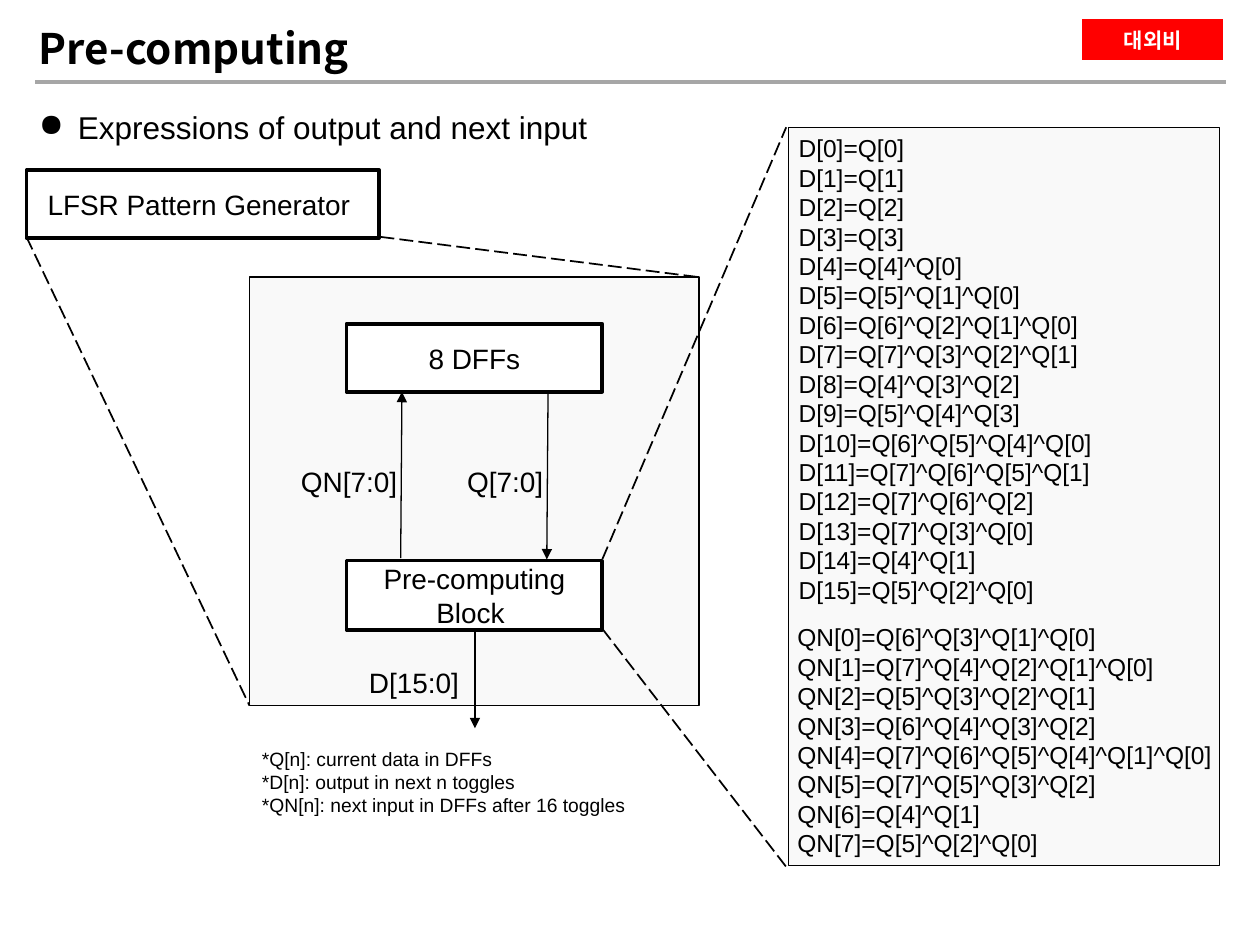
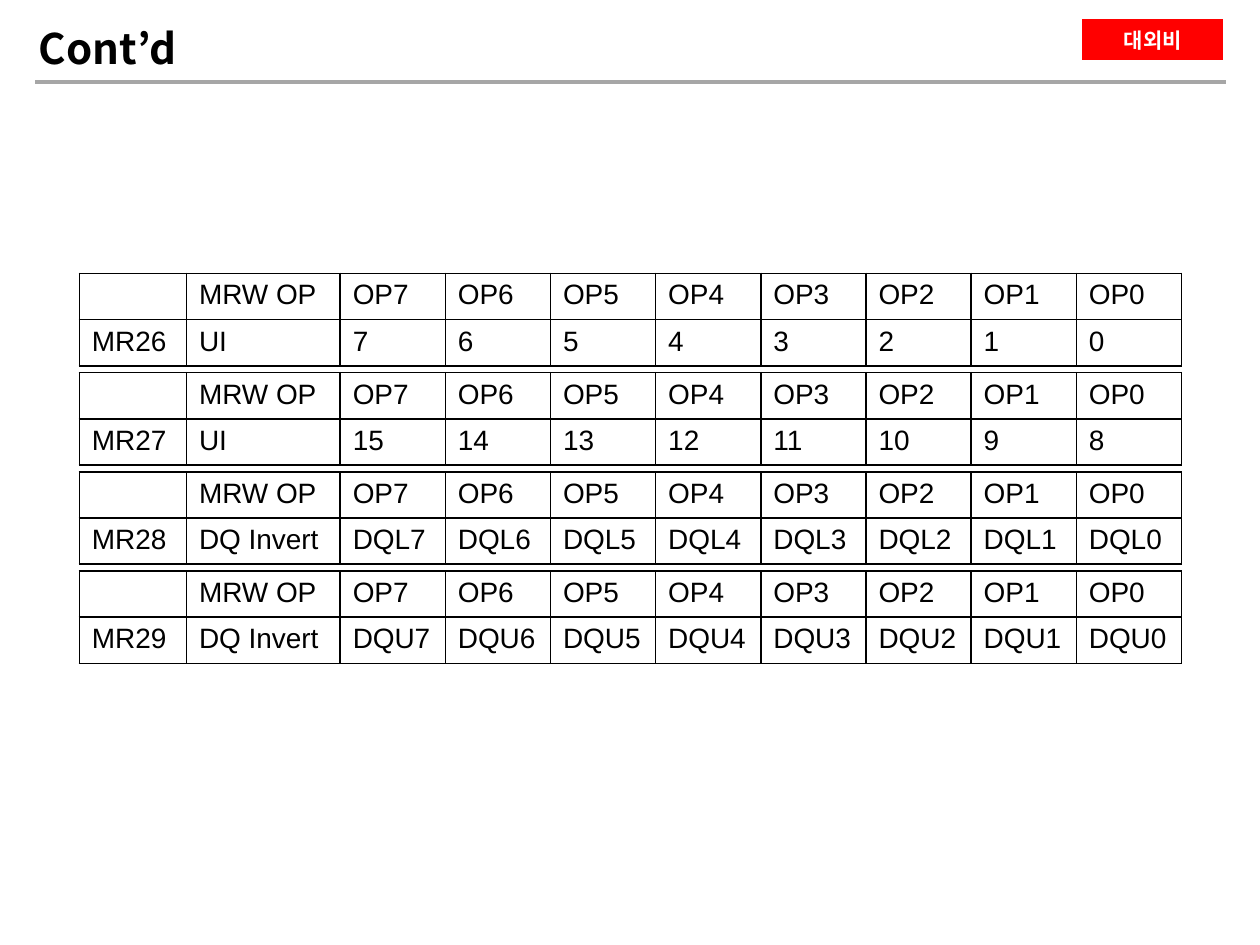
from dataclasses import dataclass

from lxml.etree import SubElement
from pptx import Presentation
from pptx.dml.color import RGBColor
from pptx.enum.dml import MSO_LINE
from pptx.enum.shapes import MSO_CONNECTOR, MSO_SHAPE
from pptx.enum.text import MSO_ANCHOR, PP_ALIGN
from pptx.oxml.ns import qn
from pptx.util import Inches, Pt


@dataclass(frozen=True)
class Theme:
    """Colours, fonts and type sizes of the deck."""
    ink: str = "000000"
    paper: str = "FFFFFF"
    panel: str = "F9F9F9"
    rule: str = "A6A6A6"
    alert: str = "FF0000"
    body: str = "Arial"
    head: str = "Noto Sans CJK KR"
    title: int = 24
    lead: int = 18
    label: int = 16
    code: int = 14
    tag: int = 12
    note: int = 11


def put(item, **vals):
    """Set each format value on the item."""
    for name, val in vals.items():
        setattr(item, name, val)


def unit(*vals):
    """Turn grid steps into lengths; the slide has 100 columns and 75 rows."""
    return [Inches(val / 10) for val in vals]


def tint(text):
    """Turn a hex text into a colour."""
    return RGBColor.from_string(text)


class Deck:
    """Holds the theme and the current slide, and draws on it."""

    def __init__(self, theme):
        """Start an empty deck."""
        self.theme = theme
        self.file = Presentation()
        wide, high = unit(100, 75)
        put(self.file, slide_width=wide, slide_height=high)

    def page(self, title):
        """Add a slide with its title, tag and rule."""
        look = self.theme
        self.slide = self.file.slides.add_slide(self.file.slide_layouts[6])
        self.box(85.6, 1.2, 11.8, 3.9, "대외비", fill=look.alert, edge=look.paper,
                 width=4.5, size=look.tag, face=look.head, bold=True, color=look.paper)
        self.line((2.8, 6.5), (97.3, 6.5), width=2, color=look.rule)
        frame = self.text(2.1, 1.6, 72.5, 5, [title], look.title,
                          face=look.head, bold=True)
        frame.margin_top = Inches(0.02)

    def fill(self, frame, lines, size, face=None, bold=False, color=None, align=PP_ALIGN.LEFT):
        """Fill a text frame, one paragraph a line."""
        look = self.theme
        for count, words in enumerate(lines):
            para = frame.add_paragraph() if count else frame.paragraphs[0]
            para.alignment = align
            if not words:
                SubElement(para._p, qn("a:endParaRPr"), sz=str(size * 100))
                continue
            run = para.add_run()
            run.text = words
            put(run.font, size=Pt(size), bold=bold, name=face or look.body)
            run.font.color.rgb = tint(color or look.ink)
            SubElement(run._r.get_or_add_rPr(), qn("a:ea"), typeface=face or look.body)

    def text(self, left, top, wide, high, lines, size, **style):
        """Add a text box and return its frame."""
        frame = self.slide.shapes.add_textbox(*unit(left, top, wide, high)).text_frame
        frame.word_wrap = True
        self.fill(frame, lines, size, **style)
        return frame

    def point(self, left, top, wide, high, words):
        """Add a bulleted lead line."""
        para = self.text(left, top, wide, high, [words], self.theme.lead).paragraphs[0]
        para.line_spacing = 1.5
        props = para._p.get_or_add_pPr()
        inset = Inches(0.31)
        props.set("marL", str(inset))
        props.set("indent", str(-inset))
        SubElement(props, qn("a:buChar"), char="●")

    def box(self, left, top, wide, high, words="", fill=None, edge=None, width=2,
            size=None, **style):
        """Add a rectangle with centred text."""
        look = self.theme
        shape = self.slide.shapes.add_shape(MSO_SHAPE.RECTANGLE, *unit(left, top, wide, high))
        shape.shadow.inherit = False
        shape.fill.solid()
        shape.fill.fore_color.rgb = tint(fill or look.paper)
        shape.line.color.rgb = tint(edge or look.ink)
        shape.line.width = Pt(width)
        put(shape.text_frame, word_wrap=True, vertical_anchor=MSO_ANCHOR.MIDDLE)
        if words:
            self.fill(shape.text_frame, [words], size or look.label,
                      align=PP_ALIGN.CENTER, **style)

    def line(self, start, end, width=1.0, color=None, dash=None, arrow=False):
        """Add a straight line, dashed or with an arrowhead if asked."""
        link = self.slide.shapes.add_connector(MSO_CONNECTOR.STRAIGHT, *unit(*start, *end))
        link.line.color.rgb = tint(color or self.theme.ink)
        put(link.line, width=Pt(width), dash_style=dash)
        if arrow:
            SubElement(link.line._get_or_add_ln(), qn("a:tailEnd"), type="triangle")
        SubElement(link._element.spPr, qn("a:effectLst"))

    def edge(self, cell):
        """Draw the four borders of a cell and clear its fill."""
        props = cell._tc.get_or_add_tcPr()
        for side in "LRTB":
            ln = SubElement(props, qn(f"a:ln{side}"), w=str(Pt(1)))
            SubElement(SubElement(ln, qn("a:solidFill")), qn("a:srgbClr"), val=self.theme.ink)
        cell.fill.background()

    def table(self, left, top, cols, high, rows):
        """Add a plain ruled table."""
        grid = self.slide.shapes.add_table(
            len(rows), len(cols), *unit(left, top, sum(cols), high * len(rows))).table
        put(grid, first_row=False, horz_banding=False)
        for col, wide in zip(grid.columns, unit(*cols)):
            col.width = wide
        for line, row in zip(grid.rows, rows):
            line.height = unit(high)[0]
            for cell, words in zip(line.cells, row):
                self.edge(cell)
                self.fill(cell.text_frame, [words], self.theme.label)


def terms(name, codes):
    """Spell equations; each digit of a code is one Q bit."""
    return [f"{name}[{pos}]=" + "^".join(f"Q[{bit}]" for bit in code)
            for pos, code in enumerate(codes.split())]


def logic(deck):
    """Draw the slide of the pattern generator and its equations."""
    look = deck.theme
    deck.page("Pre-computing ")
    deck.box(62.6, 10.1, 34.2, 58.6, fill=look.panel, width=0.5)
    deck.box(19.8, 22, 35.7, 34, fill=look.panel, width=1)
    outs = "0 1 2 3 40 510 6210 7321 432 543 6540 7651 762 730 41 520"
    nexts = "6310 74210 5321 6432 765410 7532 41 520"
    deck.text(62.4, 10.1, 31, 38.7, terms("D", outs), look.code)
    deck.text(62.3, 48.9, 37, 19.9, terms("QN", nexts), look.code)
    deck.text(19.8, 58.8, 52.9, 6.6, [
        "*Q[n]: current data in DFFs",
        "*D[n]: output in next n toggles",
        "*QN[n]: next input in DFFs after 16 toggles"], look.note)
    deck.point(2.1, 6.6, 57, 10.1, "Expressions of output and next input")

    deck.box(27.5, 44.5, 20.3, 5.5, "Pre-computing Block ")
    deck.box(27.5, 25.7, 20.3, 5.4, "8 DFFs")
    deck.box(2.1, 13.5, 28, 5.4, "LFSR Pattern Generator ")
    for start, end in [((43.5, 31.1), (43.4, 44.4)),
                       ((37.7, 49.9), (37.7, 57.8)),
                       ((31.8, 44.3), (31.9, 31.1))]:
        deck.line(start, end, width=0.75, arrow=True)
    for left, top, words in [(22.9, 36.4, "QN[7:0]"), (36.1, 36.4, "Q[7:0]"),
                             (28.3, 52.3, "D[15:0]")]:
        deck.text(left, top, 12.5, 3.7, [words], look.label)
    for start, end in [((2.1, 18.8), (19.8, 56)), ((30.2, 18.8), (55.5, 22)),
                       ((47.8, 44.4), (62.4, 10.1)), ((47.8, 49.9), (62.4, 68.8))]:
        deck.line(start, end, dash=MSO_LINE.LONG_DASH)


def modes(deck):
    """Draw the slide of the four mode register tables."""
    deck.page("Cont’d")
    bits = range(7, -1, -1)
    cols = [8.5, 12.2] + [8.35] * len(bits)
    head = ["", "MRW OP"] + [f"OP{bit}" for bit in bits]
    kinds = [("UI", "", 0), ("UI", "", 8), ("DQ Invert", "DQL", 0), ("DQ Invert", "DQU", 0)]
    for pos, (kind, lead, base) in enumerate(kinds):
        row = [f"MR{26 + pos}", kind] + [f"{lead}{base + bit}" for bit in bits]
        deck.table(6.3, 21.7 + 7.87 * pos, cols, 3.5, [head, row])


deck = Deck(Theme())
logic(deck)
modes(deck)
deck.file.save("out.pptx")
